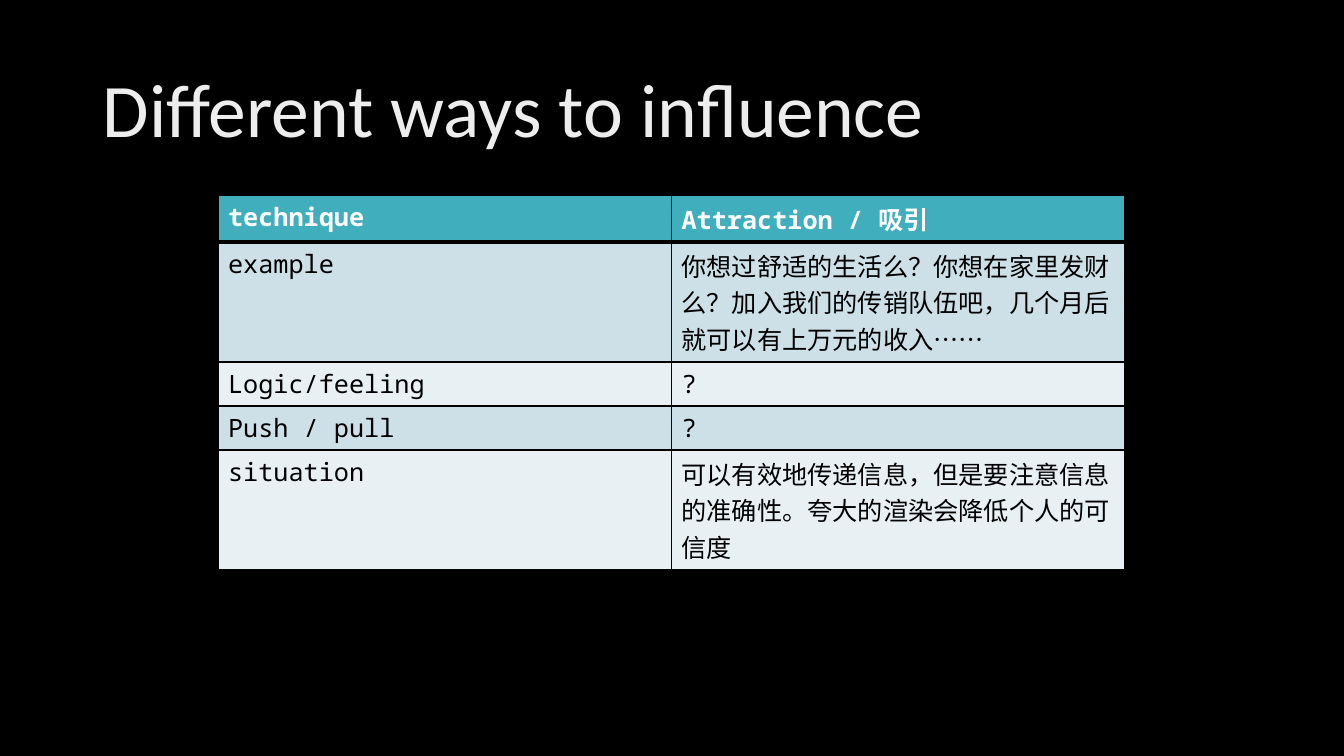
from dataclasses import dataclass

from lxml.etree import SubElement
from pptx import Presentation
from pptx.dml.color import RGBColor
from pptx.enum.text import MSO_ANCHOR
from pptx.oxml.ns import qn
from pptx.util import Emu, Pt

EMU_PER_PX = 914400 / 100.8


@dataclass(frozen=True)
class Theme:
    """Colours, fonts and type sizes of the slide."""
    background: str = "000000"
    title: str = "EDEDED"
    header_text: str = "FFFFFF"
    body_text: str = "000000"
    header_fill: str = "41AEBD"
    band_fills: tuple = ("CDE0E8", "E8F0F4")
    border: str = "000000"
    title_font: str = "Calibri"
    table_font: str = "Noto Sans Mono"
    title_size: int = 54
    table_size: int = 18
    thin_border: int = 1
    thick_border: int = 3


def px(length):
    """Turn pixels into EMU."""
    return Emu(round(length * EMU_PER_PX))


class SlideBuilder:
    """Draws styled elements on the current slide."""

    def __init__(self, presentation, theme):
        """Add a blank slide with the theme's background."""
        self.theme = theme
        self.slide = presentation.slides.add_slide(presentation.slide_layouts[6])
        fill = self.slide.background.fill
        fill.solid()
        fill.fore_color.rgb = RGBColor.from_string(theme.background)

    def style(self, paragraph, name, size, color, bold=False):
        """Set the font of a whole paragraph."""
        font = paragraph.font
        font.name, font.size, font.bold = name, Pt(size), bold
        font.color.rgb = RGBColor.from_string(color)

    def title(self, text, left, top, width, height):
        """Add the vertically centred title."""
        frame = self.slide.shapes.add_textbox(*map(px, (left, top, width, height))).text_frame
        frame.word_wrap = True
        frame.vertical_anchor = MSO_ANCHOR.MIDDLE
        paragraph = frame.paragraphs[0]
        paragraph.text = text
        paragraph.line_spacing = 0.9
        self.style(paragraph, self.theme.title_font, self.theme.title_size, self.theme.title)

    def border(self, cell, side, width):
        """Add a solid border to one side of a cell."""
        line = SubElement(cell._tc.get_or_add_tcPr(), qn(f"a:ln{side}"), w=str(Pt(width)))
        SubElement(SubElement(line, qn("a:solidFill")), qn("a:srgbClr"), val=self.theme.border)

    def cell(self, cell, text, row):
        """Fill and style one table cell according to its row."""
        theme = self.theme
        header = row == 0
        thick_side = {0: "B", 1: "T"}.get(row)
        for side in "LRTB":
            self.border(cell, side, theme.thick_border if side == thick_side else theme.thin_border)
        fill = theme.header_fill if header else theme.band_fills[(row - 1) % 2]
        cell.fill.solid()
        cell.fill.fore_color.rgb = RGBColor.from_string(fill)
        cell.text = text
        color = theme.header_text if header else theme.body_text
        self.style(cell.text_frame.paragraphs[0], theme.table_font, theme.table_size, color, header)

    def table(self, rows, left, top, width, row_heights):
        """Add a table with a header row and banded body rows."""
        bounds = map(px, (left, top, width, sum(row_heights)))
        table = self.slide.shapes.add_table(len(rows), len(rows[0]), *bounds).table
        table.horz_banding = False
        for row, (texts, height) in enumerate(zip(rows, row_heights)):
            table.rows[row].height = px(height)
            for column, text in enumerate(texts):
                self.cell(table.cell(row, column), text, row)


def main():
    """Build and save the slide."""
    presentation = Presentation()
    presentation.slide_width, presentation.slide_height = px(1344), px(756)
    builder = SlideBuilder(presentation, Theme())
    builder.title("Different ways to influence", 93, 40, 1159, 146)
    builder.table([
        ("technique", "Attraction / 吸引"),
        ("example", "你想过舒适的生活么？你想在家里发财么？加入我们的传销队伍吧，几个月后就可以有上万元的收入……"),
        ("Logic/feeling", "?"),
        ("Push / pull", "?"),
        ("situation", "可以有效地传递信息，但是要注意信息的准确性。夸大的渲染会降低个人的可信度"),
    ], 218, 195, 907, (47, 120, 44, 44, 120))
    presentation.save("out.pptx")


if __name__ == "__main__":
    main()
